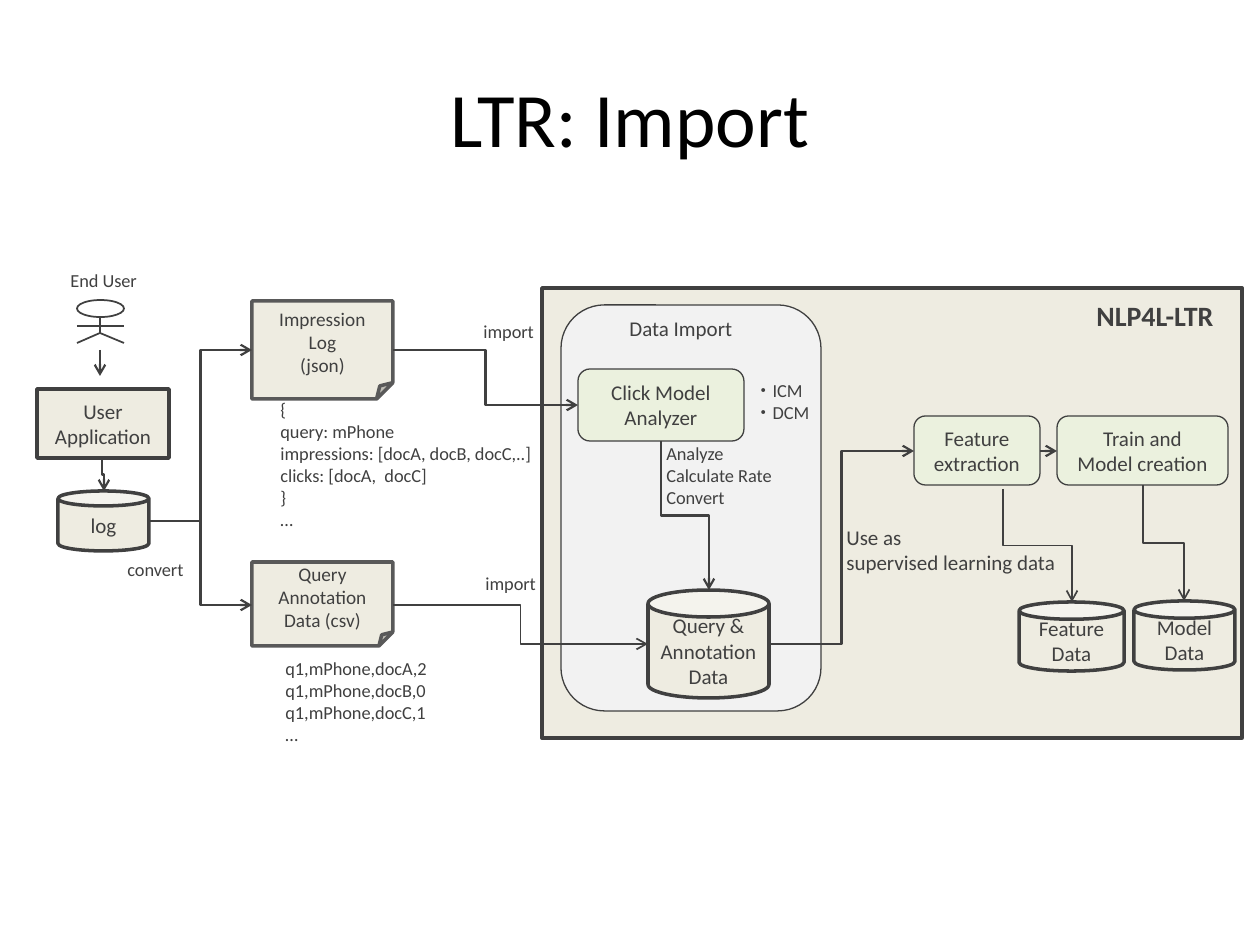
from dataclasses import dataclass

from lxml.etree import SubElement
from pptx import Presentation
from pptx.dml.color import RGBColor
from pptx.enum.shapes import MSO_CONNECTOR as CXN, MSO_SHAPE as SHAPE
from pptx.enum.text import MSO_ANCHOR as ANCHOR, PP_ALIGN as ALIGN
from pptx.oxml.ns import qn
from pptx.util import Emu, Pt

PX = 914400 / 126


@dataclass(frozen=True)
class Theme:
    """Colours, font and type sizes of the slide."""
    font: str = "Calibri"
    ink: str = "404040"
    note_line: str = "595959"
    black: str = "000000"
    white: str = "FFFFFF"
    beige: str = "EEECE1"
    grey: str = "F2F2F2"
    green: str = "EBF1DE"
    title: float = 44
    heading: float = 16
    body: float = 12
    note: float = 11
    small: float = 10.5


T = Theme()
KINDS = {
    "panel": (SHAPE.RECTANGLE, T.beige, T.ink, 2),
    "group": (SHAPE.ROUNDED_RECTANGLE, T.grey, T.ink, 0.75),
    "step": (SHAPE.ROUNDED_RECTANGLE, T.green, T.ink, 0.75),
    "store": (SHAPE.CAN, T.beige, T.ink, 2),
    "note": (SHAPE.FOLDED_CORNER, T.beige, T.note_line, 2),
    "head": (SHAPE.FLOWCHART_CONNECTOR, T.white, T.ink, 1),
}

BOXES = [
    ("panel", (542, 288, 700, 450), ""),
    ("group", (561, 305, 260, 406), ""),
    ("step", (914, 416, 126, 69), "Feature\nextraction"),
    ("step", (1057, 416, 171, 69), "Train and\nModel creation"),
    ("step", (578, 369, 166, 72), "Click Model\nAnalyzer"),
    ("store", (648, 590, 121, 108), "Query &\nAnnotation\nData"),
    ("store", (1019, 602, 105, 69), "Feature\nData"),
    ("store", (1134, 601, 101, 69), "Model\nData"),
    ("note", (252, 301, 141, 98), "Impression Log\n(json)"),
    ("note", (252, 562, 141, 84), "Query Annotation Data (csv)"),
    ("panel", (37, 389, 132, 69), "User Application"),
    ("store", (58, 491, 91, 60), "log"),
]

LABELS = [
    ((1084, 292, 158, 47), "NLP4L-LTR", {"size": T.heading, "bold": True}),
    ((617, 309, 171, 38), "Data Import", {"size": T.body}),
    ((834, 518, 252, 63), "Use as\nsupervised learning data", {"size": T.body}),
    ((471, 314, 83, 35), "import", {}),
    ((473, 566, 83, 35), "import", {}),
    ((115, 552, 83, 35), "convert", {}),
    ((58, 263, 105, 35), "End User", {}),
    ((273, 651, 197, 102),
     "q1,mPhone,docA,2\nq1,mPhone,docB,0\nq1,mPhone,docC,1\n…", {}),
    ((268, 392, 286, 146), "{\nquery: mPhone\nimpressions: [docA, docB, docC,..]\n"
     "clicks: [docA,  docC]\n}\n…", {}),
    ((654, 436, 252, 79), "Analyze\nCalculate Rate\nConvert", {}),
    ((742, 373, 97, 57), "・ICM\n・DCM", {}),
]

# Start, end, line width; the first leg of an elbow is level or upright.
LEVEL_ELBOWS = [
    ((393, 350), (578, 405), 1.25),
    ((393, 605), (648, 644), 1),
    ((769, 644), (914, 451), 1.25),
    ((149, 521), (252, 350), 1.25),
    ((149, 521), (252, 605), 1.25),
]
UPRIGHT_ELBOWS = [
    ((661, 441), (709, 590), 1.25),
    ((1003, 489), (1072, 602), 1),
    ((1143, 485), (1184, 601), 1),
    ((102, 458), (104, 491), 1.25),
]
STRAIGHT_ARROWS = [
    ((1040, 451), (1057, 451), 1.25),
    ((100, 350), (100, 376), 1.25),
]
BODY_LINES = [
    ((77, 326), (124, 326)),
    ((100, 317), (100, 333)),
    ((100, 333), (77, 343)),
    ((100, 333), (124, 343)),
]


def emu(*pixels):
    """Turn pixels into EMU."""
    return [Emu(round(n * PX)) for n in pixels]


def set_all(obj, values):
    """Set each attribute named in a dict."""
    for name, value in values.items():
        setattr(obj, name, value)


def write(tf, text, align=ALIGN.LEFT, color=T.ink, **fmt):
    """Fill a text frame, one paragraph per line."""
    tf.word_wrap = True
    size = Pt(fmt.pop("size", T.small))
    for i, line in enumerate(text.split("\n")):
        p = tf.paragraphs[0] if i == 0 else tf.add_paragraph()
        p.alignment = align
        r = p.add_run()
        r.text = line
        set_all(r.font, {"name": T.font, "size": size, **fmt})
        r.font.color.rgb = RGBColor.from_string(color)


def add_box(shapes, kind, at, text=""):
    """Add a filled, outlined shape with centred text."""
    preset, fill, line, width = KINDS[kind]
    sp = shapes.add_shape(preset, *emu(*at))
    sp.shadow.inherit = False
    sp.fill.solid()
    sp.fill.fore_color.rgb = RGBColor.from_string(fill)
    sp.line.color.rgb = RGBColor.from_string(line)
    sp.line.width = Pt(width)
    if text:
        tf = sp.text_frame
        tf.vertical_anchor = ANCHOR.MIDDLE
        if kind == "store":
            set_all(tf, {"margin_left": 0, "margin_right": 0})
        write(tf, text, ALIGN.CENTER, size=T.note if kind == "note" else T.body)


def add_label(shapes, at, text, anchor=ANCHOR.TOP, **fmt):
    """Add a text box."""
    tf = shapes.add_textbox(*emu(*at)).text_frame
    tf.vertical_anchor = anchor
    write(tf, text, **fmt)


def add_line(shapes, start, end, width=1, kind=CXN.STRAIGHT, arrow=True):
    """Add a connector, with an arrowhead at its end if wanted."""
    cxn = shapes.add_connector(kind, *emu(*start, *end))
    cxn.line.color.rgb = RGBColor.from_string(T.ink)
    cxn.line.width = Pt(width)
    sp_pr = cxn._element.spPr
    if arrow:
        SubElement(sp_pr.find(qn("a:ln")), qn("a:tailEnd"), type="arrow")
    SubElement(sp_pr, qn("a:effectLst"))
    return cxn


def add_upright_elbow(shapes, start, end, width):
    """Add an elbow that leaves downwards: a level one turned by 90 degrees."""
    (x1, y1), (x2, y2) = start, end
    cx, cy = (x1 + x2) / 2, (y1 + y2) / 2
    dx, dy = (x2 - x1) / 2, (y2 - y1) / 2
    cxn = add_line(shapes, (cx - dy, cy + dx), (cx + dy, cy - dx), width, CXN.ELBOW)
    cxn._element.spPr.find(qn("a:xfrm")).set("rot", str(90 * 60000))


def add_end_user(shapes):
    """Add the stick figure as one group."""
    group = shapes.add_group_shape()
    add_box(group.shapes, "head", (77, 300, 47, 17))
    for start, end in BODY_LINES:
        add_line(group.shapes, start, end, arrow=False)


def main():
    """Build the slide and save it."""
    prs = Presentation()
    set_all(prs, dict(zip(("slide_width", "slide_height"), emu(1260, 945))))
    shapes = prs.slides.add_slide(prs.slide_layouts[6]).shapes
    add_label(shapes, (63, 38, 1134, 158), "LTR: Import", ANCHOR.MIDDLE,
              align=ALIGN.CENTER, color=T.black, size=T.title)
    for box in BOXES:
        add_box(shapes, *box)
    for elbow in LEVEL_ELBOWS:
        add_line(shapes, *elbow, kind=CXN.ELBOW)
    for elbow in UPRIGHT_ELBOWS:
        add_upright_elbow(shapes, *elbow)
    for line in STRAIGHT_ARROWS:
        add_line(shapes, *line)
    for at, text, fmt in LABELS:
        add_label(shapes, at, text, **fmt)
    add_end_user(shapes)
    prs.save("out.pptx")


main()
